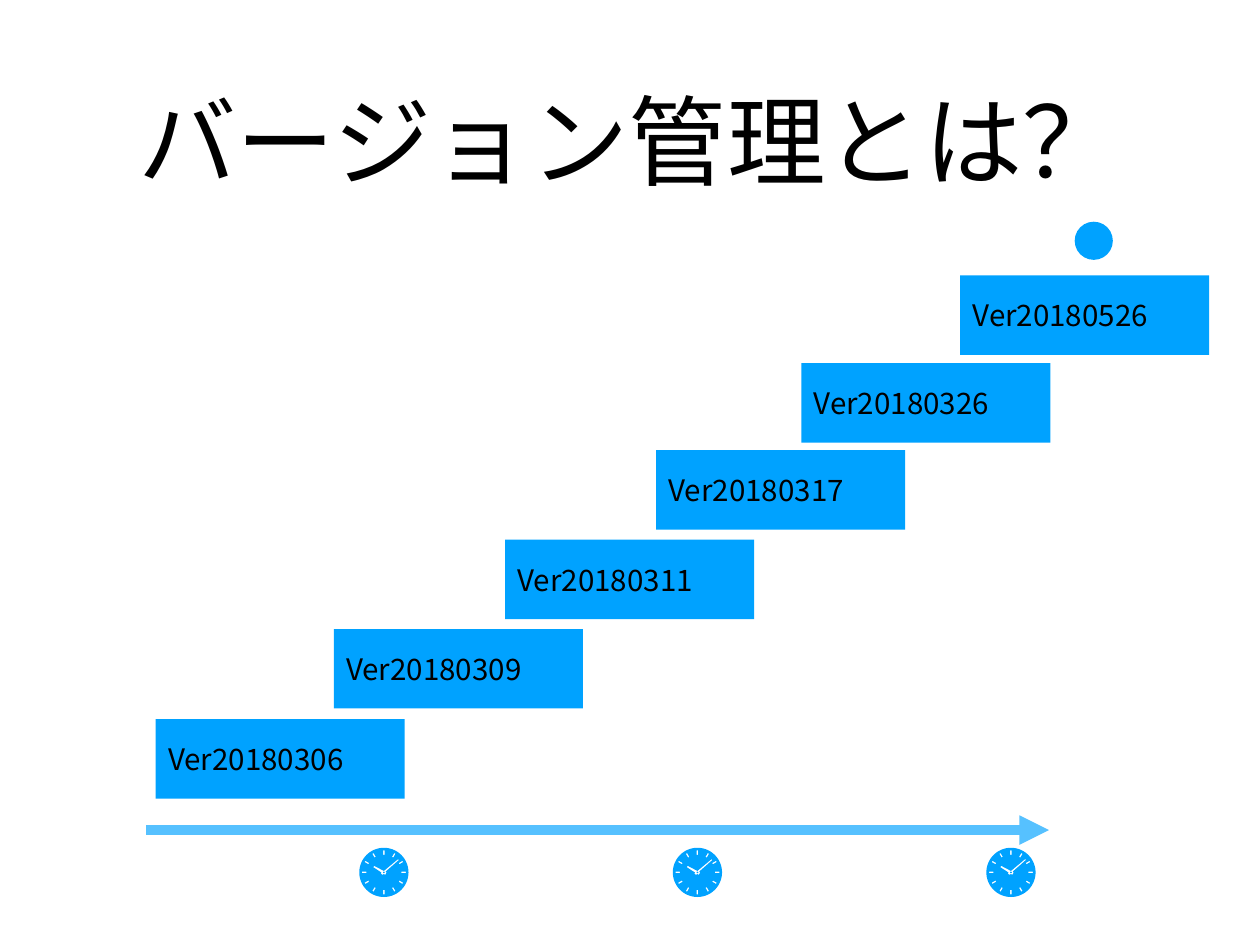
import math

from lxml import etree
from pptx import Presentation
from pptx.dml.color import RGBColor
from pptx.enum.shapes import MSO_CONNECTOR, MSO_SHAPE
from pptx.enum.text import MSO_ANCHOR, MSO_AUTO_SIZE, PP_ALIGN
from pptx.oxml.ns import qn
from pptx.util import Pt

RECTANGLE, OVAL = MSO_SHAPE.RECTANGLE, MSO_SHAPE.OVAL
STRAIGHT = MSO_CONNECTOR.STRAIGHT
LEFT, CENTER = PP_ALIGN.LEFT, PP_ALIGN.CENTER
MIDDLE, BOTTOM = MSO_ANCHOR.MIDDLE, MSO_ANCHOR.BOTTOM
NO_AUTOFIT = MSO_AUTO_SIZE.NONE

BLUE = RGBColor(0x00, 0xA2, 0xFF)
LIGHT_BLUE = RGBColor(0x56, 0xC1, 0xFF)
BLACK = RGBColor(0x00, 0x00, 0x00)
FONT = "Noto Sans CJK JP"

# Label, left and top of each step, oldest first
VERSIONS = [
    ("Ver20180306", 126.6, 584.5),
    ("Ver20180309", 271.3, 511.2),
    ("Ver20180311", 410.6, 438.6),
    ("Ver20180317", 533.3, 365.8),
    ("Ver20180326", 651.2, 295.2),
    ("Ver20180526", 780.4, 223.8),
]

# Clock hands around the clock's centre
CLOCK_HANDS = [
    (11.5, -10.8), (12.2, -10.1), (1.5, -0.7), (2.2, 0.1), (1.2, 2),
    (0, 1.4), (-1.2, 2), (-2.6, 0.9), (-2, 0.1), (-8.6, -4.2),
    (-8, -5.4), (0, -1.2),
]


def write_text(shape, text, size, align=LEFT, anchor=MIDDLE, inset=4.3, wrap=True):
    frame = shape.text_frame
    frame.auto_size = NO_AUTOFIT
    frame.word_wrap = wrap
    frame.vertical_anchor = anchor
    frame.margin_left = frame.margin_right = Pt(inset)
    frame.margin_top = frame.margin_bottom = Pt(4.3)
    paragraph = frame.paragraphs[0]
    paragraph.alignment = align
    run = paragraph.add_run()
    run.text = text
    run.font.name = FONT
    run.font.size = Pt(size)
    run.font.color.rgb = BLACK
    east_asian = etree.SubElement(run.font._element, qn("a:ea"))
    east_asian.set("typeface", FONT)


def circle(radius, count):
    angles = [2 * math.pi * i / count for i in range(count)]
    return [(radius * math.cos(a), radius * math.sin(a)) for a in angles]


def hour_mark(hour, inner=14.2, outer=17.8, half_width=0.6):
    sine, cosine = math.sin(hour * math.pi / 6), math.cos(hour * math.pi / 6)
    corners = [(-half_width, inner), (half_width, inner),
               (half_width, outer), (-half_width, outer)]
    return [(x * cosine + y * sine, x * sine - y * cosine) for x, y in corners]


class SlideBuilder:
    def __init__(self, slide, color):
        self.slide = slide
        self.color = color

    def title(self, text, left, top, width, height):
        shape = self.slide.shapes.title
        shape.left, shape.top = Pt(left), Pt(top)
        shape.width, shape.height = Pt(width), Pt(height)
        write_text(shape, text, 80, align=CENTER, anchor=BOTTOM)

    def paint(self, shape):
        shape.shadow.inherit = False
        shape.fill.solid()
        shape.fill.fore_color.rgb = self.color
        shape.line.fill.background()

    def block(self, kind, left, top, width, height):
        shape = self.slide.shapes.add_shape(
            kind, Pt(left), Pt(top), Pt(width), Pt(height))
        self.paint(shape)
        return shape

    def arrow(self, left, right, y, color, weight):
        connector = self.slide.shapes.add_connector(
            STRAIGHT, Pt(left), Pt(y), Pt(right), Pt(y))
        connector.line.color.rgb = color
        connector.line.width = Pt(weight)
        line = connector.line._get_or_add_ln()
        etree.SubElement(line, qn("a:tailEnd")).set("type", "triangle")
        etree.SubElement(connector._element.spPr, qn("a:effectLst"))

    def clock(self, x, y):
        face = circle(20, 72)
        holes = [hour_mark(hour) for hour in range(12)]
        holes += [CLOCK_HANDS, circle(0.7, 12)]
        builder = self.slide.shapes.build_freeform(*self.lengths(face)[0])
        builder.add_line_segments(self.lengths(face)[1:], close=True)
        for hole in holes:
            start, *rest = self.lengths(hole)
            builder.move_to(*start)
            builder.add_line_segments(rest, close=True)
        self.paint(builder.convert_to_shape(Pt(x), Pt(y)))

    def lengths(self, points):
        return [(Pt(x), Pt(y)) for x, y in points]


def main():
    presentation = Presentation()
    presentation.slide_width, presentation.slide_height = Pt(1024), Pt(768)
    slide = presentation.slides.add_slide(presentation.slide_layouts[5])
    builder = SlideBuilder(slide, BLUE)

    # Title
    builder.title("バージョン管理とは？", 100, 54, 824, 111)

    # Version steps
    for label, left, top in VERSIONS:
        step = builder.block(RECTANGLE, left, top, 202.4, 64.6)
        write_text(step, label, 24, inset=10, wrap=False)

    # Marker over the latest version
    builder.block(OVAL, 873.4, 180.2, 31, 31)

    # Time axis with clocks
    builder.arrow(118.7, 852.5, 674.6, LIGHT_BLUE, 8)
    for i in range(3):
        builder.clock(312 + 254.8 * i, 709)

    presentation.save("out.pptx")


if __name__ == "__main__":
    main()
